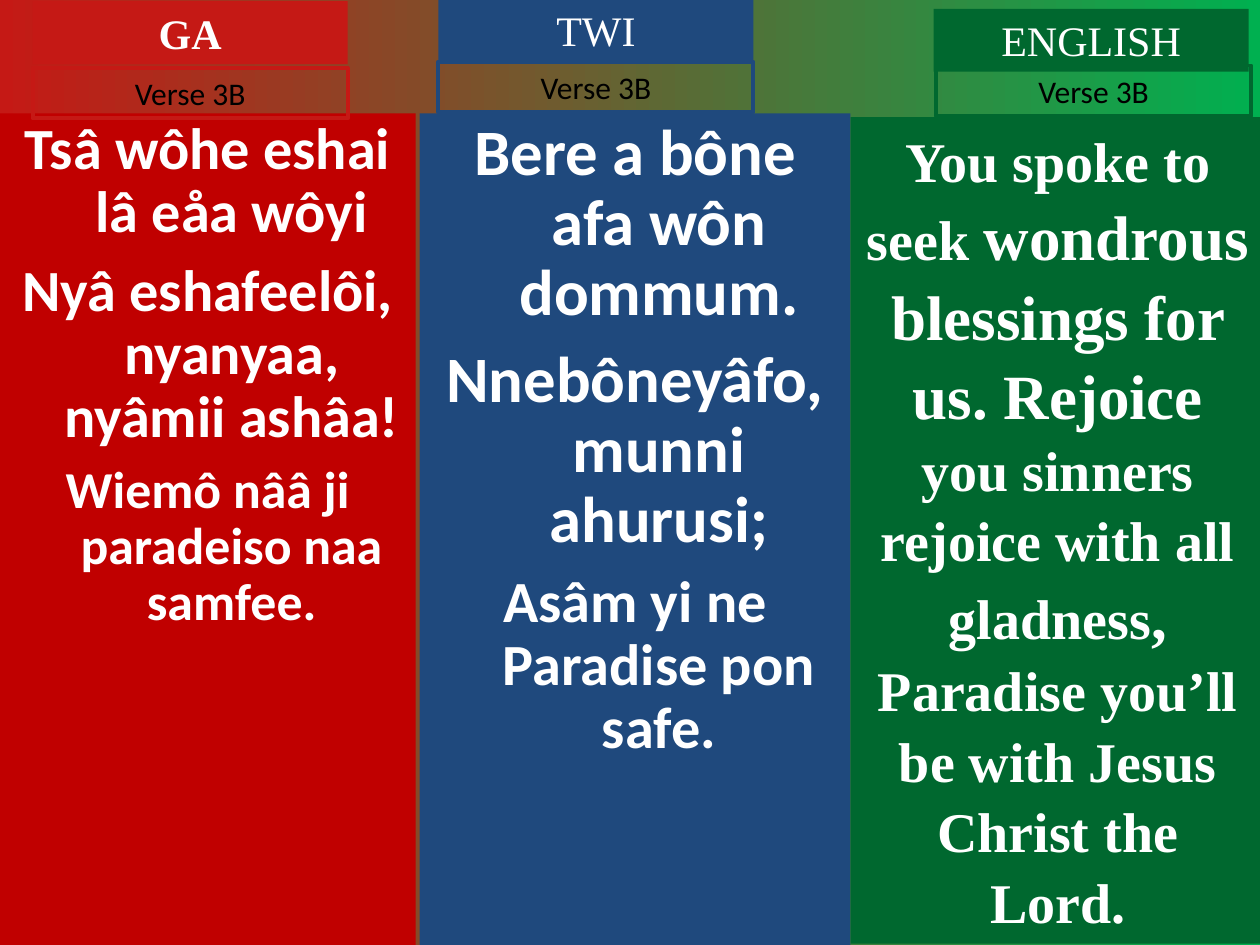
"""Build a three-language hymn slide with a coloured column per language."""
from pptx import Presentation
from pptx.dml.color import RGBColor
from pptx.enum.shapes import MSO_SHAPE
from pptx.enum.text import MSO_ANCHOR, MSO_AUTO_SIZE, PP_ALIGN
from pptx.util import Inches, Pt

RECT = MSO_SHAPE.RECTANGLE
TOP = MSO_ANCHOR.TOP
GROW = MSO_AUTO_SIZE.SHAPE_TO_FIT_TEXT
FIXED = MSO_AUTO_SIZE.NONE
CENTER = PP_ALIGN.CENTER

RED = RGBColor(0xC0, 0x00, 0x00)
SCARLET = RGBColor(0xC5, 0x19, 0x15)
BLUE = RGBColor(0x1F, 0x49, 0x7D)
GREEN = RGBColor(0x00, 0x68, 0x2F)
LIME = RGBColor(0x00, 0xB0, 0x50)
WHITE = RGBColor(0xFF, 0xFF, 0xFF)
BLACK = RGBColor(0x00, 0x00, 0x00)

SANS, SERIF = "Calibri", "Times New Roman"
VERSE = "Verse 3B"
HEAD_W, HEAD_H, VERSE_H = 2.5, 0.5, 0.4

GA = [
    [("Tsâ wôhe eshai lâ eåa wôyi", 33.3)],
    [("Nyâ eshafeelôi, nyanyaa, nyâmii ashâa!", 33.3)],
    [("Wiemô nââ ji paradeiso naa samfee.", 29.6)],
]
TWI = [
    [("Bere a bône afa wôn dommum.", 37)],
    [("Nnebôneyâfo, munni ahurusi;", 37)],
    [("Asâm yi ne Paradise pon safe.", 33.3)],
]
ENGLISH = [[
    ("You spoke to seek ", 32),
    ("wondrous blessings for us. Rejoice ", 36),
    ("you sinners rejoice with all gladness", 32),
    (", ", 36),
    ("Paradise you’ll be with Jesus Christ the Lord.", 32),
]]

HANG = {"line_spacing": 0.9}
LOOSE = {"line_spacing": 1.05}

BODIES = [
    ((0, 0.9, 3.3, 6.6), RED, GA, SANS, HANG, (0, 9, 8)),
    ((3.33, 0.9, 3.42, 6.6), BLUE, TWI, SANS, HANG, (0, 10, 9)),
    ((6.75, 0.93, 3.29, 6.56), GREEN, ENGLISH, SERIF, LOOSE, (0,)),
]
HEADS = [
    ("GA", True, SCARLET, (0.26, 0.01), (0.26, 0.54)),
    ("TWI", False, BLUE, (3.48, -0.01), (3.48, 0.49)),
    ("ENGLISH", False, GREEN, (7.41, 0.07), (7.43, 0.52)),
]


def put(obj, vals):
    for key, val in vals.items():
        setattr(obj, key, val)


def add_box(slide, place, fill=None, line=None, size=FIXED):
    box = slide.shapes.add_shape(RECT, *map(Inches, place))
    box.shadow.inherit = False
    if fill is None:
        box.fill.background()
    else:
        box.fill.solid()
        box.fill.fore_color.rgb = fill
    if line is None:
        box.line.fill.background()
    else:
        box.line.color.rgb = line
        box.line.width = Pt(2.25)
    put(box.text_frame, {
        "word_wrap": True, "auto_size": size, "vertical_anchor": TOP,
        "margin_left": Inches(0.1), "margin_right": Inches(0.1),
        "margin_top": Inches(0.05), "margin_bottom": Inches(0.05),
    })
    return box.text_frame


def add_run(para, text, size, face, color, bold=False):
    run = para.add_run()
    run.text = text
    put(run.font, {"size": Pt(size), "name": face, "bold": bold})
    run.font.color.rgb = color


def add_body(slide, place, fill, paras, face, style, gaps):
    frame = add_box(slide, place, fill)
    for num, (runs, gap) in enumerate(zip(paras, gaps)):
        para = frame.add_paragraph() if num else frame.paragraphs[0]
        put(para, {"alignment": CENTER, "space_before": Pt(gap), **style})
        if style is HANG:
            props = para._p.get_or_add_pPr()
            props.set("marL", str(Inches(0.38)))
            props.set("indent", str(Inches(-0.38)))
        for text, size in runs:
            add_run(para, text, size, face, WHITE, True)


def add_label(slide, place, text, size, face, color, bold=False, **look):
    para = add_box(slide, place, size=GROW, **look).paragraphs[0]
    para.alignment = CENTER
    add_run(para, text, size, face, color, bold)


def main():
    deck = Presentation()
    put(deck, {"slide_width": Inches(10), "slide_height": Inches(7.5)})
    slide = deck.slides.add_slide(deck.slide_layouts[6])

    back = slide.background.fill
    back.gradient()
    back.gradient_angle = 0
    for stop, color, spot in zip(back.gradient_stops, (SCARLET, LIME), (0, 1)):
        stop.color.rgb = color
        stop.position = spot

    for body in BODIES:
        add_body(slide, *body)
    for name, bold, color, head, verse in HEADS:
        add_label(slide, (*head, HEAD_W, HEAD_H), name, 24, SERIF, WHITE,
                  bold, fill=color)
        add_label(slide, (*verse, HEAD_W, VERSE_H), VERSE, 18, SANS, BLACK,
                  line=color)
    deck.save("out.pptx")


if __name__ == "__main__":
    main()
